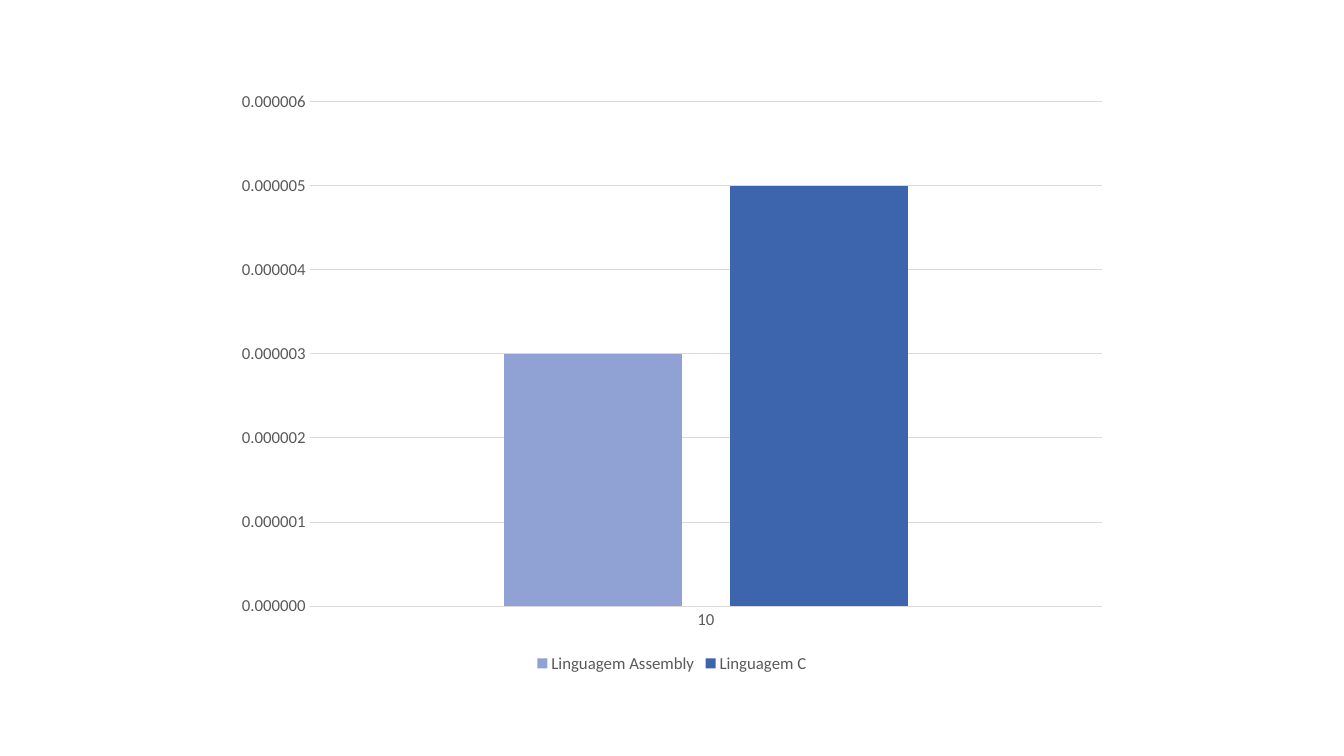
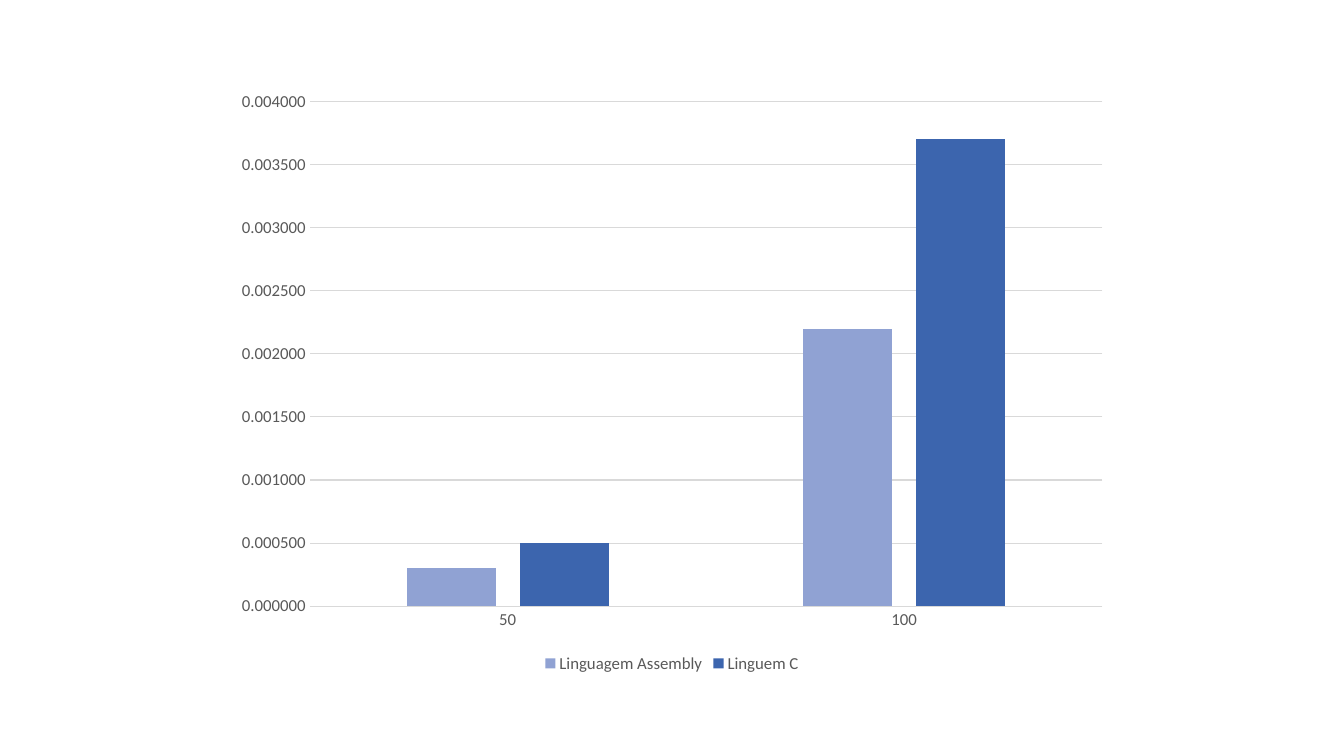
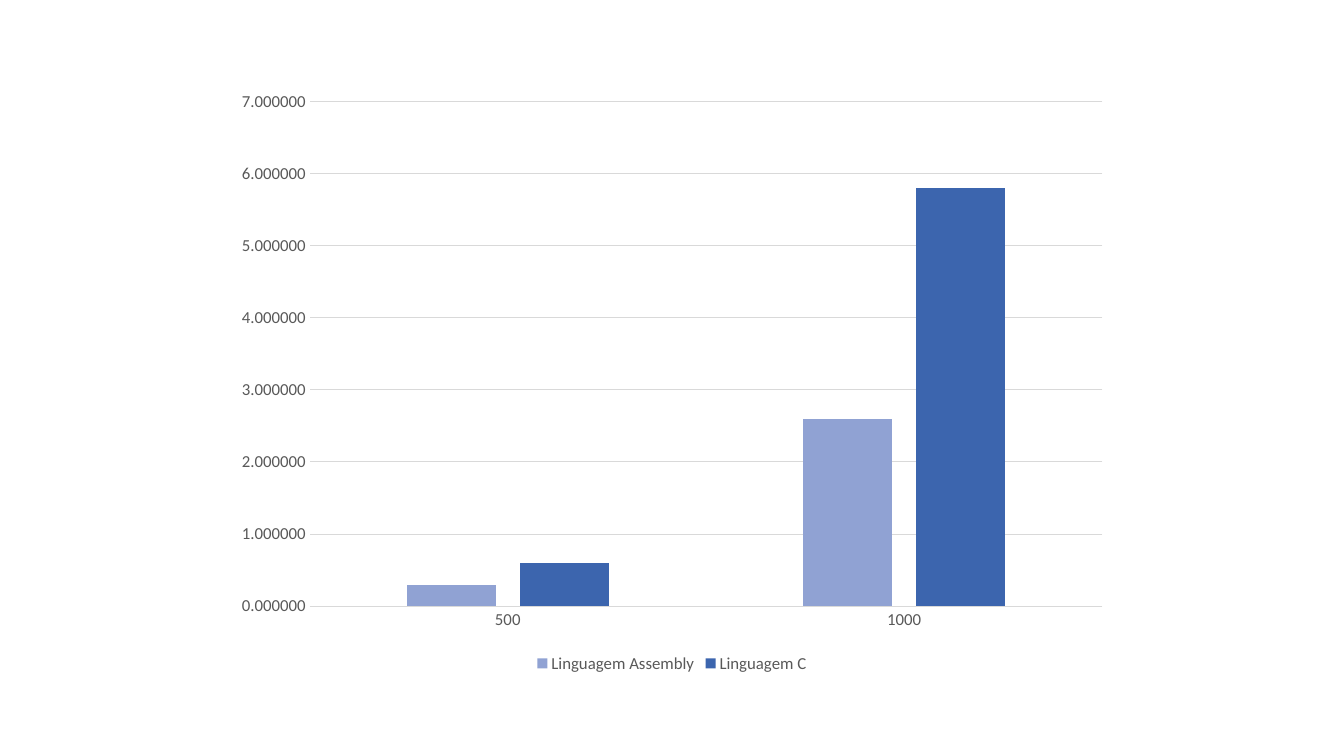
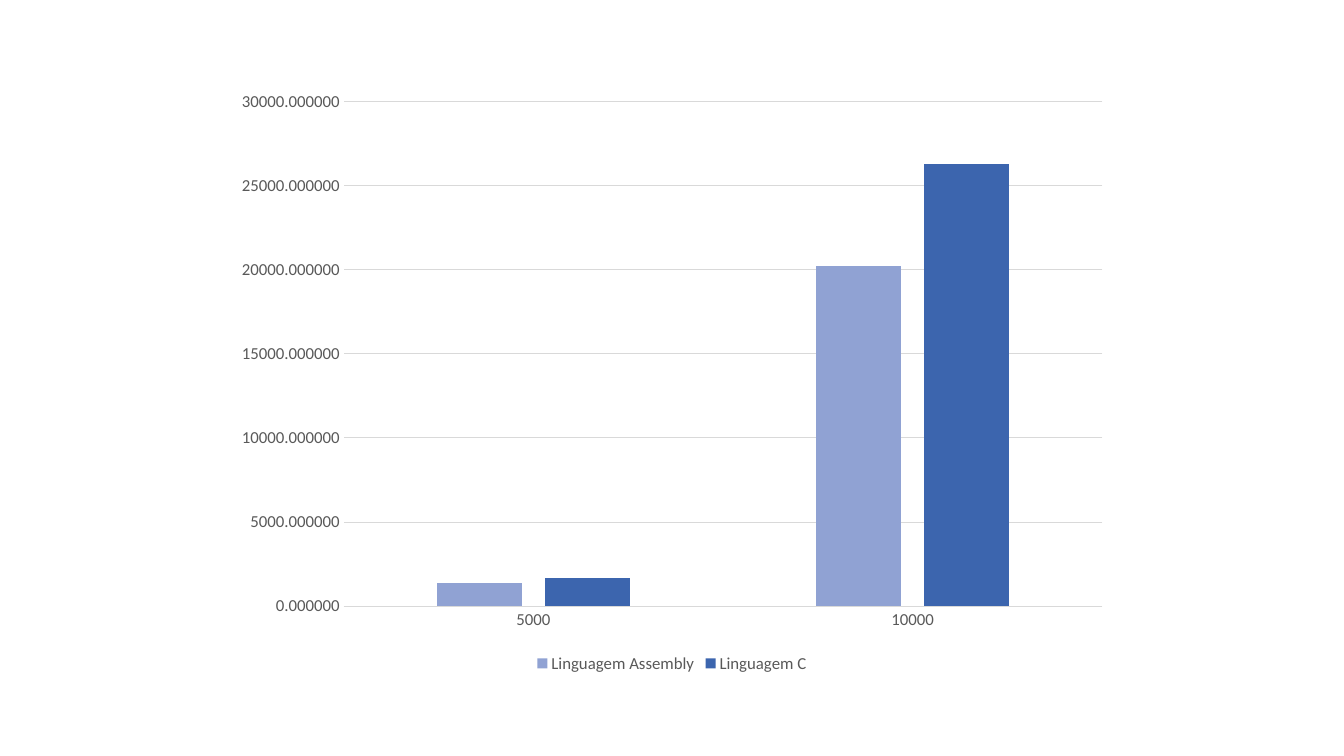
from pptx import Presentation
from pptx.chart.data import CategoryChartData
from pptx.dml.color import RGBColor
from pptx.enum.chart import XL_CHART_TYPE as ChartType
from pptx.enum.chart import XL_LEGEND_POSITION as LegendPosition
from pptx.enum.chart import XL_TICK_MARK as TickMark
from pptx.util import Inches, Pt

# Shared style
FONT = "Calibri"
BLACK = RGBColor(0x00, 0x00, 0x00)
LABEL_GREY = RGBColor(0x59, 0x59, 0x59)
GRID_GREY = RGBColor(0xD9, 0xD9, 0xD9)
ASSEMBLY_BLUE = RGBColor(0x90, 0xA2, 0xD3)
C_BLUE = RGBColor(0x3C, 0x65, 0xAE)
TIME_FORMAT = "0.000000"

# Per slide: input sizes, then the times of each language
ASSEMBLY, C = "Linguagem Assembly", "Linguagem C"
COMPARISONS = [
    (["10"], {ASSEMBLY: [0.000003], C: [0.000005]}),
    (["50", "100"], {ASSEMBLY: [0.0003, 0.0022], "Linguem C": [0.0005, 0.0037]}),
    (["500", "1000"], {ASSEMBLY: [0.3, 2.6], C: [0.6, 5.8]}),
    (["5000", "10000"], {ASSEMBLY: [1400, 20200], C: [1700, 26300]}),
]


def set_font(font, size, color):
    font.name = FONT
    font.size = Pt(size)
    font.color.rgb = color


def set_line(line):
    line.color.rgb = GRID_GREY
    line.width = Pt(0.75)


prs = Presentation()
prs.slide_width = Inches(13.33)
prs.slide_height = Inches(7.5)
blank = prs.slide_layouts[6]

for sizes, times_by_language in COMPARISONS:
    slide = prs.slides.add_slide(blank)

    # Times by input size
    data = CategoryChartData(number_format=TIME_FORMAT)
    data.categories = sizes
    for language, times in times_by_language.items():
        data.add_series(language, times)
    chart = slide.shapes.add_chart(
        ChartType.COLUMN_CLUSTERED,
        Inches(2.22), Inches(0.79), Inches(8.89), Inches(5.93), data,
    ).chart
    chart.has_title = False
    set_font(chart.font, 10, BLACK)

    # Columns
    columns = chart.plots[0]
    columns.gap_width = 219
    columns.overlap = -27
    columns.vary_by_categories = False
    for language, color in zip(columns.series, (ASSEMBLY_BLUE, C_BLUE)):
        language.format.fill.solid()
        language.format.fill.fore_color.rgb = color

    # Axes
    size_axis, time_axis = chart.category_axis, chart.value_axis
    for axis in (size_axis, time_axis):
        axis.major_tick_mark = TickMark.NONE
        axis.minor_tick_mark = TickMark.NONE
        set_font(axis.tick_labels.font, 12, LABEL_GREY)
    set_line(size_axis.format.line)
    time_axis.format.line.fill.background()
    time_axis.has_major_gridlines = True
    set_line(time_axis.major_gridlines.format.line)
    time_axis.tick_labels.number_format = TIME_FORMAT
    time_axis.tick_labels.number_format_is_linked = False

    # Legend
    chart.has_legend = True
    chart.legend.position = LegendPosition.BOTTOM
    chart.legend.include_in_layout = False
    set_font(chart.legend.font, 12, LABEL_GREY)

prs.save("out.pptx")
